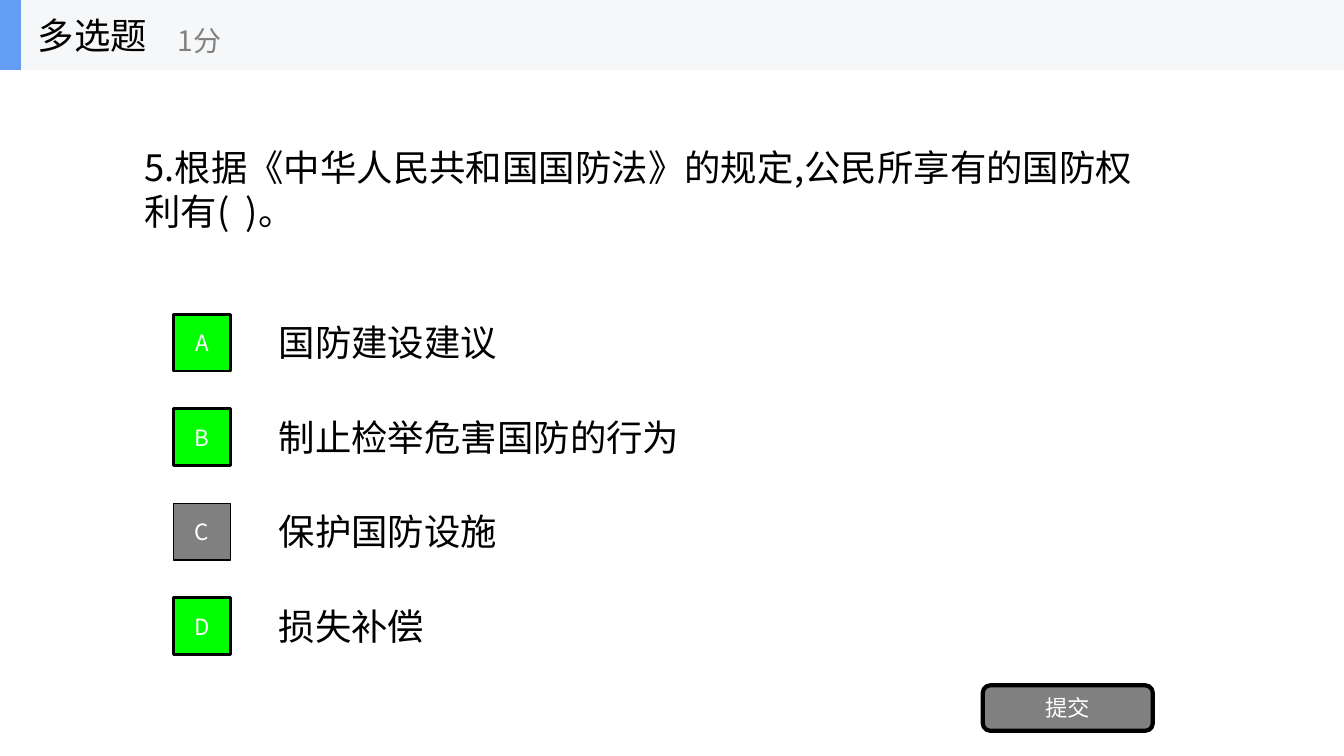
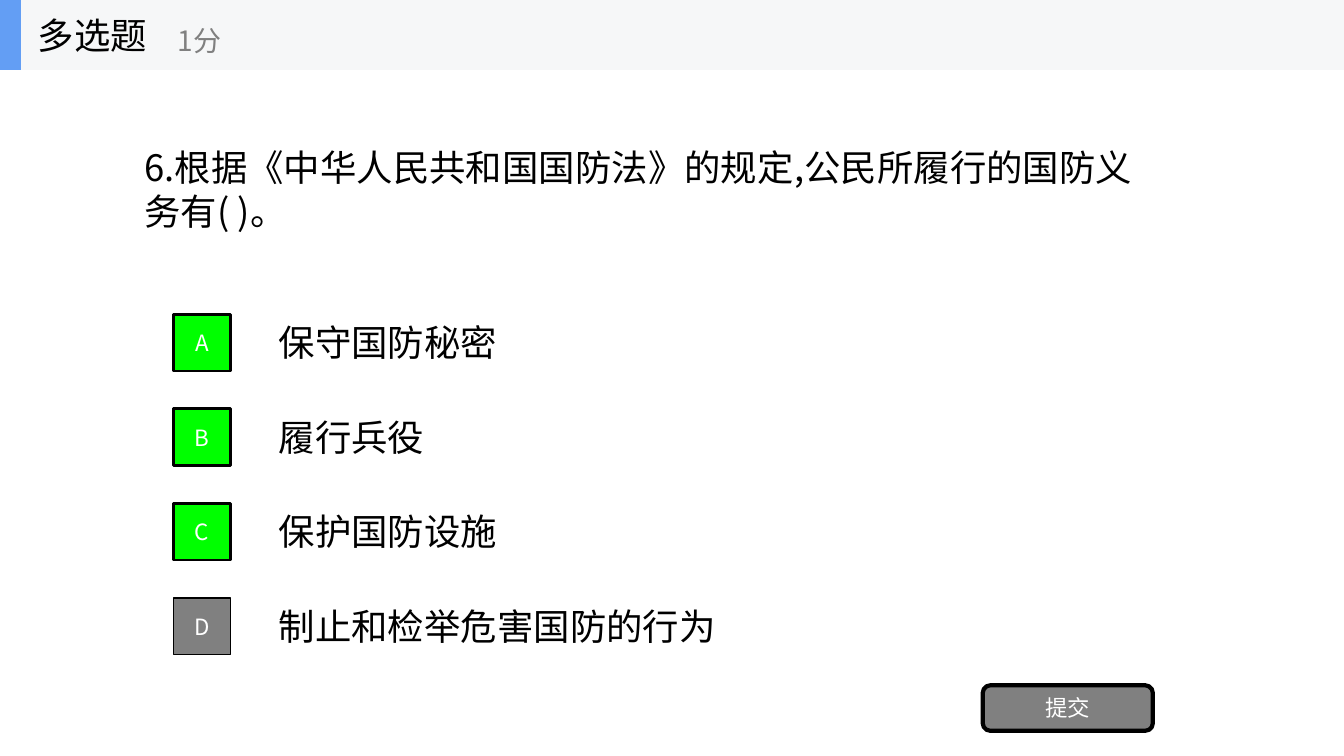
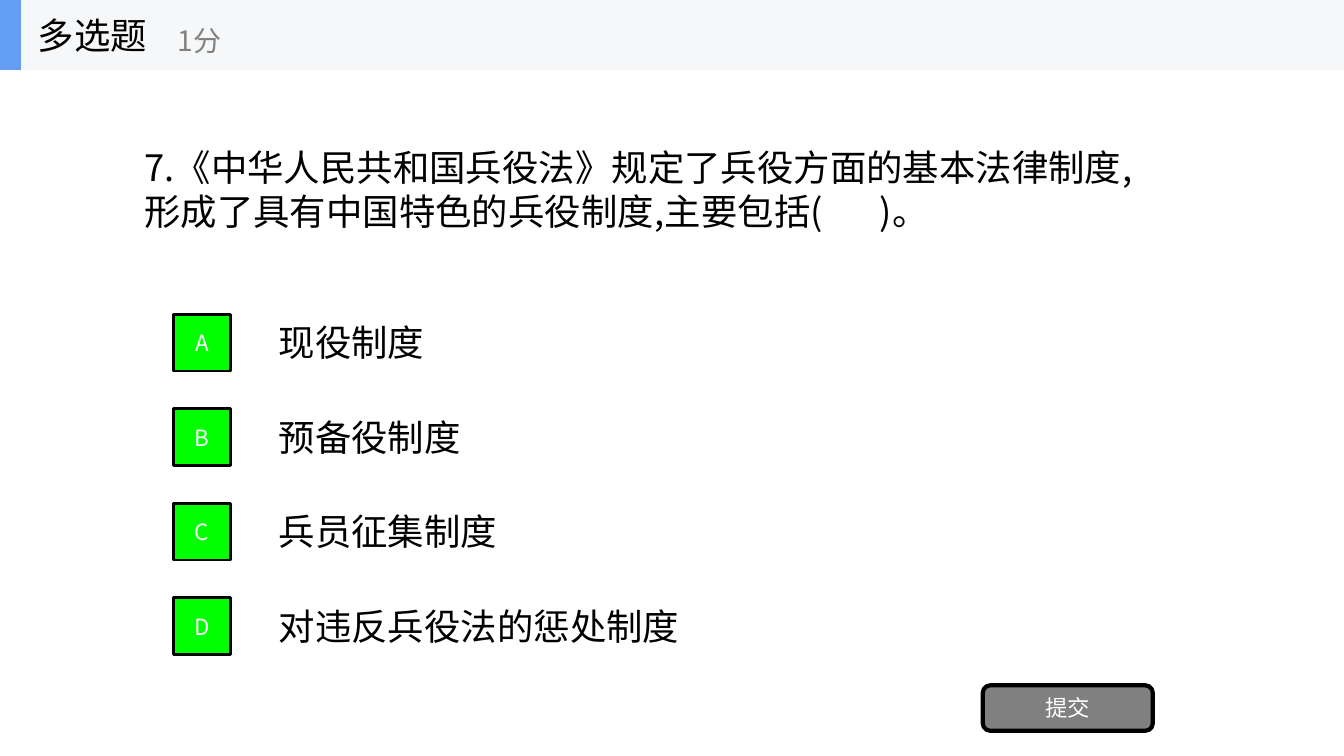
from dataclasses import dataclass

from lxml.etree import SubElement
from pptx import Presentation
from pptx.dml.color import RGBColor
from pptx.enum.shapes import MSO_SHAPE as Shape
from pptx.enum.text import MSO_ANCHOR as Anchor, PP_ALIGN as Align
from pptx.oxml.ns import qn
from pptx.util import Pt

HEADING, SCORE, SUBMIT = "多选题", "1分", "提交"

# question, options, letters of the right answers
QUESTIONS = [
    ("5.根据《中华人民共和国国防法》的规定,公民所享有的国防权利有(  )。",
     ["国防建设建议", "制止检举危害国防的行为", "保护国防设施", "损失补偿"],
     "ABD"),
    ("6.根据《中华人民共和国国防法》的规定,公民所履行的国防义务有( )。",
     ["保守国防秘密", "履行兵役", "保护国防设施", "制止和检举危害国防的行为"],
     "ABC"),
    ("7.《中华人民共和国兵役法》规定了兵役方面的基本法律制度,形成了具有中国特色的兵役制度,主要包括(       )。",
     ["现役制度", "预备役制度", "兵员征集制度", "对违反兵役法的惩处制度"],
     "ABCD"),
]


@dataclass(frozen=True)
class Theme:
    font: str = "Noto Sans CJK SC"
    ink: str = "000000"
    paper: str = "FFFFFF"
    muted: str = "808080"
    correct: str = "00FF00"
    band: str = "F6F7F8"
    accent: str = "639EF4"
    body: float = 26
    score: float = 20
    label: float = 16
    question_leading: float = 31.5


THEME = Theme()
WIDTH, HEIGHT = 960, 540
BAND_HEIGHT = 50
OPTION_TOP, OPTION_PITCH = 224.5, 67.5
MARKER_LEFT, MARKER_SIZE = 124, 40.5
OPTION_LEFT, OPTION_HEIGHT, OPTION_PADDING = 192, 38, 21.6


def write(shape, text, size=THEME.body, color=THEME.ink, align=Align.LEFT, leading=None):
    frame = shape.text_frame
    frame.word_wrap = True
    frame.vertical_anchor = Anchor.MIDDLE
    para = frame.paragraphs[0]
    para.alignment = align
    if leading:
        para.line_spacing = Pt(leading)
    span = para.add_run()
    span.text = text
    span.font.name = THEME.font
    span.font.size = Pt(size)
    span.font.color.rgb = RGBColor.from_string(color)
    SubElement(span.font._element, qn("a:ea"), typeface=THEME.font)


def add_text(shapes, text, bounds, **style):
    write(shapes.add_textbox(*map(Pt, bounds)), text, **style)


def add_block(shapes, bounds, fill, kind=Shape.RECTANGLE, border=0, label=None):
    block = shapes.add_shape(kind, *map(Pt, bounds))
    block.shadow.inherit = False
    block.fill.solid()
    block.fill.fore_color.rgb = RGBColor.from_string(fill)
    if border:
        block.line.color.rgb = RGBColor.from_string(THEME.ink)
        block.line.width = Pt(border)
    else:
        block.line.fill.background()
    if label:
        write(block, label, size=THEME.label, color=THEME.paper, align=Align.CENTER)


def add_option(shapes, row, text, correct):
    top = OPTION_TOP + row * OPTION_PITCH
    width = len(text) * THEME.body + OPTION_PADDING
    add_text(shapes, text, (OPTION_LEFT, top + 1, width, OPTION_HEIGHT))
    add_block(shapes, (MARKER_LEFT, top, MARKER_SIZE, MARKER_SIZE),
              THEME.correct if correct else THEME.muted,
              border=2 if correct else 1, label="ABCD"[row])


def add_header(page):
    shapes = page.shapes.add_group_shape().shapes
    add_block(shapes, (0, 0, WIDTH, BAND_HEIGHT), THEME.band)
    add_block(shapes, (0, 0, 15, BAND_HEIGHT), THEME.accent)
    add_text(shapes, HEADING, (20, 0, 150, BAND_HEIGHT))
    add_text(shapes, SCORE, (120, 9, 180, 40), size=THEME.score, color=THEME.muted)


def add_question(deck, question, options, answers):
    page = deck.slides.add_slide(deck.slide_layouts[6])
    add_text(page.shapes, question, (96, 100, 744.5, 70), leading=THEME.question_leading)
    for row, text in enumerate(options):
        add_option(page.shapes, row, text, "ABCD"[row] in answers)
    add_block(page.shapes, (702, 489.5, 121.5, 32.5), THEME.muted,
              kind=Shape.ROUNDED_RECTANGLE, border=3, label=SUBMIT)
    add_header(page)


def main():
    deck = Presentation()
    deck.slide_width, deck.slide_height = Pt(WIDTH), Pt(HEIGHT)
    for question, options, answers in QUESTIONS:
        add_question(deck, question, options, answers)
    deck.save("out.pptx")


if __name__ == "__main__":
    main()
